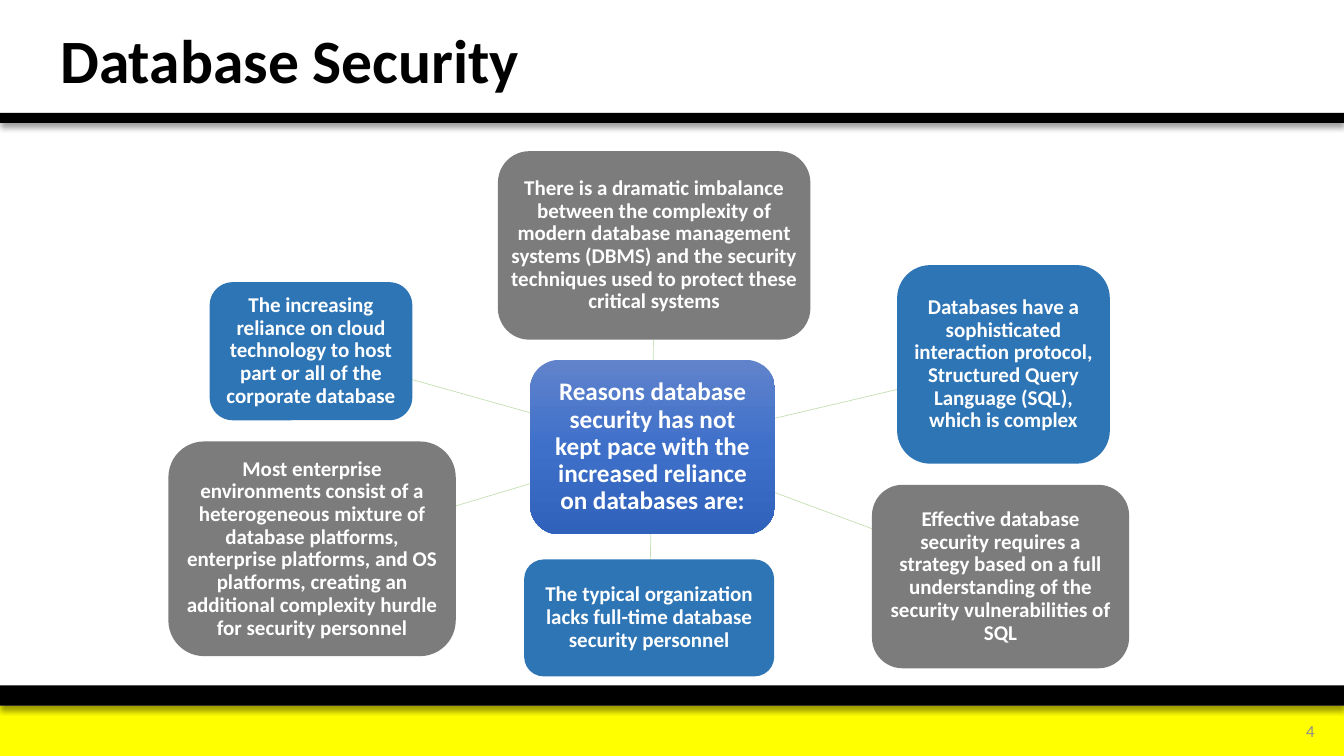
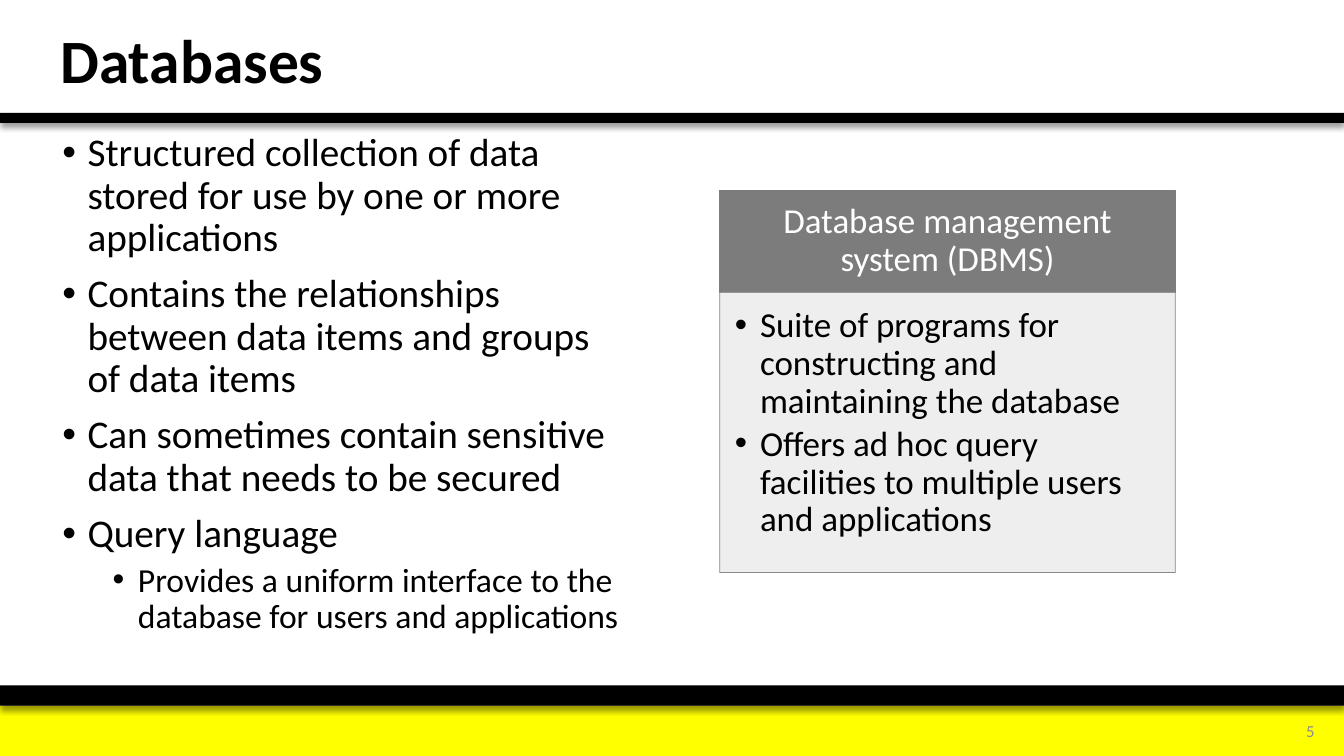
import copy
from dataclasses import dataclass

import pptx
import pptx.dml.color
import pptx.enum.shapes
import pptx.enum.text
import pptx.oxml
import pptx.oxml.ns
import pptx.util

# Shared style
FONT = "Calibri"
BLACK, WHITE, YELLOW = "000000", "FFFFFF", "FFFF00"
GREY, BLUE, PALE_GREY = "7C7C7C", "2E75B6", "EDEDED"
PAGE_NUMBER_GREY, SPOKE_GREEN = "8C8C8C", "C5E0B4"
HUB_GRADIENT = ((0, "6183CB"), (0.5, "3E70CA"), (1, "3062BB"))
LINE_SPACING = 0.9
THIN_LINE = pptx.util.Pt(0.5)
SLIDE_WIDTH, SLIDE_HEIGHT = pptx.util.Inches(13.333), pptx.util.Inches(7.5)

SHAPE = pptx.enum.shapes.MSO_SHAPE
ALIGN = pptx.enum.text.PP_ALIGN
ANCHOR = pptx.enum.text.MSO_ANCHOR
qn = pptx.oxml.ns.qn


def across(share: float) -> int:
    """Horizontal length from a percentage of the slide's width."""
    return round(SLIDE_WIDTH * share / 100)


def down(share: float) -> int:
    """Vertical length from a percentage of the slide's height."""
    return round(SLIDE_HEIGHT * share / 100)


@dataclass(frozen=True)
class Area:
    """A rectangle in percent of the slide's width and height."""
    left: float
    top: float
    width: float
    height: float

    @property
    def center(self) -> tuple[float, float]:
        return self.left + self.width / 2, self.top + self.height / 2

    def lengths(self) -> tuple[int, int, int, int]:
        return across(self.left), down(self.top), across(self.width), down(self.height)

    def edge_toward(self, other: "Area") -> tuple[float, float]:
        """Point where the line between the two centers leaves this area."""
        (x, y), (other_x, other_y) = self.center, other.center
        dx, dy = other_x - x, other_y - y
        reach = min(size / 2 / abs(delta) for size, delta
                    in ((self.width, dx), (self.height, dy)) if delta)
        return x + dx * reach, y + dy * reach


@dataclass(frozen=True)
class TextStyle:
    size: float
    color: str = BLACK
    bold: bool = False
    align: ALIGN = ALIGN.LEFT
    anchor: ANCHOR = ANCHOR.MIDDLE
    insets: tuple[float, float, float, float] = (0.1, 0.05, 0.1, 0.05)


@dataclass(frozen=True)
class Line:
    text: str
    size: float | None = None
    level: int = 0
    indent: float = 0
    before: float = 0
    after: float = 0


@dataclass(frozen=True)
class Reason:
    area: Area
    color: str
    text: str


TITLE_AREA = Area(3.75, 0.93, 67.5, 14.93)
NUMBER_AREA = Area(92.85, 94.13, 5.7, 5.33)
FOOTER_AREA = Area(0, 93.33, 100, 6.67)
BLACK_BANDS = (Area(0, 90.67, 100, 2.67), Area(0, 14.93, 100, 1.33))
TITLE_STYLE = TextStyle(44, bold=True)
NUMBER_STYLE = TextStyle(12, PAGE_NUMBER_GREY, align=ALIGN.RIGHT)

# Content of the hub-and-spoke slide
HUB_AREA = Area(39.45, 47.6, 18.22, 23.07)
HUB_TEXT = ("Reasons database security has not kept pace with the increased "
            "reliance on databases are:")
HUB_STYLE = TextStyle(18, WHITE, True, ALIGN.CENTER, insets=(0.05,) * 4)
REASON_STYLE = TextStyle(15, WHITE, True, ALIGN.CENTER, insets=(0.04,) * 4)
REASONS = (
    Reason(Area(37.05, 20, 23.25, 24.93), GREY,
           "There is a dramatic imbalance between the complexity of modern database "
           "management systems (DBMS) and the security techniques used to protect "
           "these critical systems"),
    Reason(Area(66.75, 35.07, 15.83, 26.27), BLUE,
           "Databases have a sophisticated interaction protocol, Structured Query "
           "Language (SQL), which is complex"),
    Reason(Area(64.88, 64.13, 19.13, 24.27), GREY,
           "Effective database security requires a strategy based on a full "
           "understanding of the security vulnerabilities of SQL"),
    Reason(Area(39, 74, 18.6, 15.47), BLUE,
           "The typical organization lacks full-time database security personnel"),
    Reason(Area(12.53, 58.4, 21.38, 28.4), GREY,
           "Most enterprise environments consist of a heterogeneous mixture of "
           "database platforms, enterprise platforms, and OS platforms, creating an "
           "additional complexity hurdle for security personnel"),
    Reason(Area(15.6, 37.33, 15.08, 18.27), BLUE,
           "The increasing reliance on cloud technology to host part or all of the "
           "corporate database"),
)

# Content of the databases slide
BODY_AREA = Area(3.9, 16.93, 43.58, 71.07)
BODY_STYLE = TextStyle(28, anchor=ANCHOR.TOP)
BODY_LINES = (
    Line("Structured collection of data stored for use by one or more applications",
         indent=0.25),
    Line("Contains the relationships between data items and groups of data items",
         indent=0.25, before=10),
    Line("Can sometimes contain sensitive data that needs to be secured",
         indent=0.25, before=10),
    Line("Query language", indent=0.25, before=10),
    Line("Provides a uniform interface to the database for users and applications",
         size=24, level=1, indent=0.75, before=5),
)
PANEL_HEAD_AREA = Area(53.55, 25.2, 33.9, 13.47)
PANEL_BODY_AREA = Area(53.55, 38.67, 33.9, 37.07)
PANEL_HEAD_STYLE = TextStyle(25, WHITE, align=ALIGN.CENTER,
                             insets=(0.19, 0.11, 0.19, 0.11))
PANEL_BODY_STYLE = TextStyle(25, anchor=ANCHOR.TOP, insets=(0.15, 0.15, 0.19, 0.22))
PANEL_LINES = tuple(
    Line(text, level=1, indent=0.25, after=3.75) for text in (
        "Suite of programs for constructing and maintaining the database",
        "Offers ad hoc query facilities to multiple users and applications",
    ))


# Drawing helpers
def rgb(color: str) -> pptx.dml.color.RGBColor:
    return pptx.dml.color.RGBColor.from_string(color)


def write(box, style: TextStyle, *lines: Line) -> None:
    frame = box.text_frame
    frame.word_wrap = True
    frame.vertical_anchor = style.anchor
    (frame.margin_left, frame.margin_top,
     frame.margin_right, frame.margin_bottom) = map(pptx.util.Inches, style.insets)
    for index, line in enumerate(lines):
        para = frame.add_paragraph() if index else frame.paragraphs[0]
        if line.indent:
            add_bullet(para, line.indent)
        para.level = line.level
        para.alignment = style.align
        para.line_spacing = LINE_SPACING
        para.space_before = pptx.util.Pt(line.before)
        para.space_after = pptx.util.Pt(line.after)
        span = para.add_run()
        span.text = line.text
        span.font.name = FONT
        span.font.size = pptx.util.Pt(line.size or style.size)
        span.font.bold = style.bold
        span.font.color.rgb = rgb(style.color)


def add_bullet(para, indent: float) -> None:
    properties = para._p.get_or_add_pPr()
    properties.set("marL", str(pptx.util.Inches(indent)))
    properties.set("indent", str(pptx.util.Inches(-0.25)))
    properties.append(pptx.oxml.parse_xml(
        f'<a:buFont {pptx.oxml.ns.nsdecls("a")} typeface="Arial"/>'))
    properties.append(pptx.oxml.parse_xml(
        f'<a:buChar {pptx.oxml.ns.nsdecls("a")} char="•"/>'))


def add_text(page, area: Area, style: TextStyle, *lines: Line) -> None:
    write(page.shapes.add_textbox(*area.lengths()), style, *lines)


def add_box(page, area: Area, color: str, kind: SHAPE = SHAPE.RECTANGLE,
            outline: str | None = None):
    box = page.shapes.add_shape(kind, *area.lengths())
    box.shadow.inherit = False
    box.fill.solid()
    box.fill.fore_color.rgb = rgb(color)
    if outline:
        box.line.color.rgb = rgb(outline)
        box.line.width = THIN_LINE
    else:
        box.line.fill.background()
    return box


def add_shadow(box) -> None:
    box._element.spPr.find(qn("a:effectLst")).append(pptx.oxml.parse_xml(
        f'<a:outerShdw {pptx.oxml.ns.nsdecls("a")} blurRad="{pptx.util.Pt(4)}" '
        f'dist="{pptx.util.Pt(3)}" dir="5400000" algn="t" rotWithShape="0">'
        f'<a:srgbClr val="{BLACK}"><a:alpha val="40000"/></a:srgbClr></a:outerShdw>'))


def set_opacity(box, percent: int) -> None:
    """Apply one opacity to the fill and the outline."""
    for color in box._element.spPr.iter(qn("a:srgbClr")):
        color.append(pptx.oxml.parse_xml(
            f'<a:alpha {pptx.oxml.ns.nsdecls("a")} val="{percent * 1000}"/>'))


def set_gradient(box, stops: tuple[tuple[float, str], ...]) -> None:
    box.fill.gradient()
    box.fill.gradient_angle = 270
    stop_list = box._element.spPr.find(".//" + qn("a:gsLst"))
    while len(stop_list) < len(stops):
        stop_list.append(copy.deepcopy(stop_list[0]))
    for stop, (position, color) in zip(box.fill.gradient_stops, stops):
        stop.position = position
        stop.color.rgb = rgb(color)


def add_spoke(page, hub: Area, node: Area) -> None:
    (x1, y1), (x2, y2) = hub.edge_toward(node), node.edge_toward(hub)
    spoke = page.shapes.add_connector(
        pptx.enum.shapes.MSO_CONNECTOR.STRAIGHT,
        across(x1), down(y1), across(x2), down(y2))
    spoke.line.color.rgb = rgb(SPOKE_GREEN)
    spoke.line.width = THIN_LINE
    spoke._element.spPr.append(pptx.oxml.parse_xml(
        f'<a:effectLst {pptx.oxml.ns.nsdecls("a")}/>'))


def add_page(deck, title: str, number: int):
    """A blank slide with the shared bands, page number and title."""
    page = deck.slides.add_slide(deck.slide_layouts[6])
    add_box(page, FOOTER_AREA, YELLOW)
    for band in BLACK_BANDS:
        add_shadow(add_box(page, band, BLACK))
    add_text(page, NUMBER_AREA, NUMBER_STYLE, Line(str(number)))
    add_text(page, TITLE_AREA, TITLE_STYLE, Line(title))
    return page


# Slides
def build_security_page(deck) -> None:
    page = add_page(deck, "Database Security", 4)
    hub = add_box(page, HUB_AREA, BLUE, SHAPE.ROUNDED_RECTANGLE)
    set_gradient(hub, HUB_GRADIENT)
    write(hub, HUB_STYLE, Line(HUB_TEXT))
    for reason in REASONS:
        add_spoke(page, HUB_AREA, reason.area)
        box = add_box(page, reason.area, reason.color, SHAPE.ROUNDED_RECTANGLE)
        write(box, REASON_STYLE, Line(reason.text))


def build_databases_page(deck) -> None:
    page = add_page(deck, "Databases", 5)
    add_text(page, BODY_AREA, BODY_STYLE, *BODY_LINES)
    head = add_box(page, PANEL_HEAD_AREA, GREY, outline=GREY)
    write(head, PANEL_HEAD_STYLE, Line("Database management system (DBMS)"))
    panel = add_box(page, PANEL_BODY_AREA, PALE_GREY, outline=GREY)
    set_opacity(panel, 90)
    write(panel, PANEL_BODY_STYLE, *PANEL_LINES)


def main() -> None:
    deck = pptx.Presentation()
    deck.slide_width, deck.slide_height = SLIDE_WIDTH, SLIDE_HEIGHT
    build_security_page(deck)
    build_databases_page(deck)
    deck.save("out.pptx")


if __name__ == "__main__":
    main()
